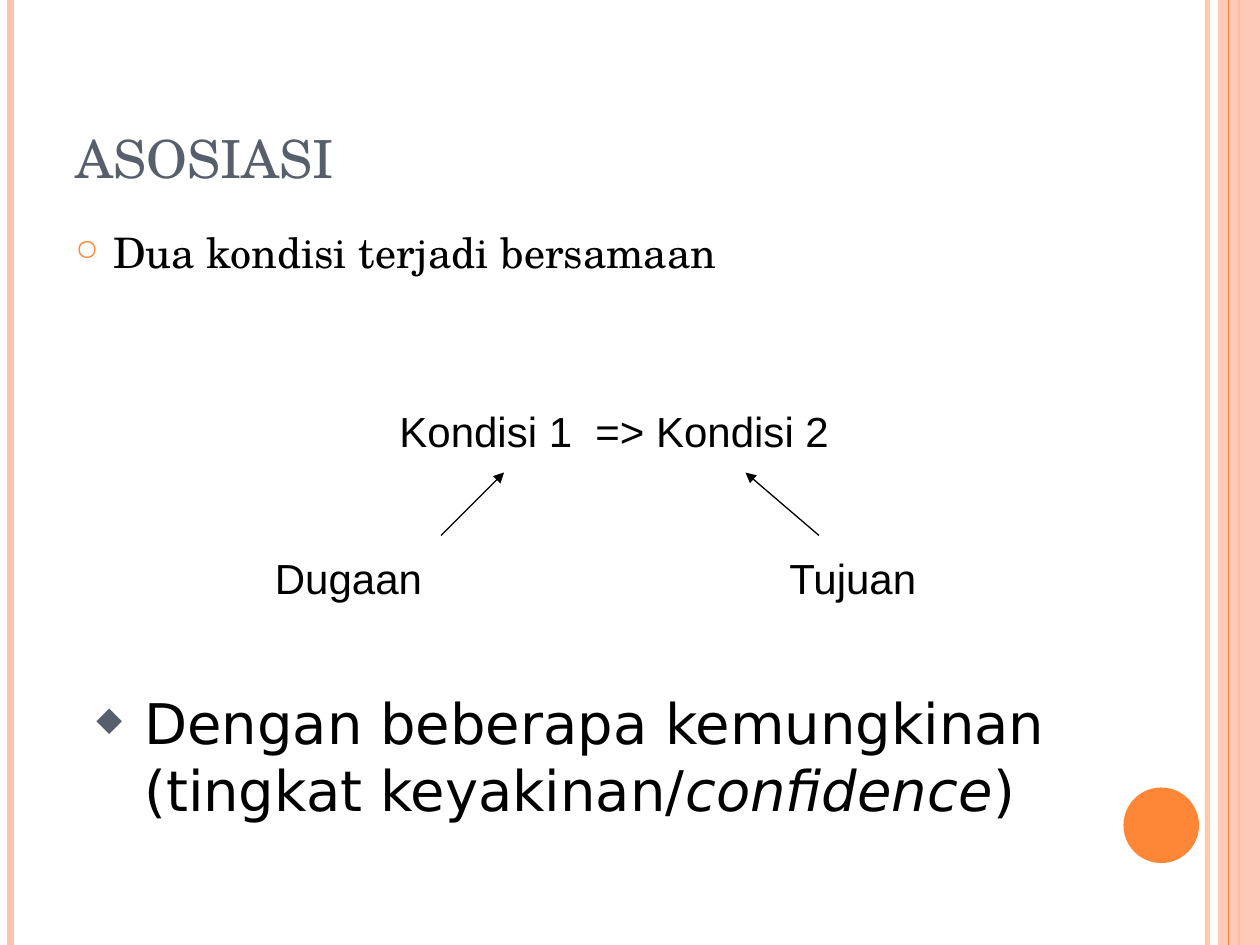
from dataclasses import dataclass

from lxml.etree import SubElement
from pptx import Presentation
from pptx.dml.color import RGBColor as RGB
from pptx.enum.shapes import MSO_CONNECTOR as Link, MSO_SHAPE as Preset
from pptx.enum.text import MSO_ANCHOR as Anchor, PP_ALIGN as Align
from pptx.oxml.ns import qn
from pptx.util import Inches, Pt


@dataclass(frozen=True)
class Theme:
    peach: str = "FEC3AE"
    orange: str = "FE8637"
    slate: str = "575F6D"
    black: str = "000000"
    serif: str = "TeX Gyre Schola"
    sans: str = "Arial"
    wide: str = "DejaVu Sans"
    title: int = 30
    body: int = 24
    large: int = 32


theme = Theme()
deck = Presentation()
deck.slide_width, deck.slide_height = Inches(10), Inches(7.5)
COLS, ROWS = 120, 90
CELL = deck.slide_width / COLS
slide = deck.slides.add_slide(deck.slide_layouts[6])


def grid(*cells):
    return [round(cell * CELL) for cell in cells]


def add_rule(start, end, color, width, opacity=100, arrow=False):
    """Draw a straight line between two (column, row) points."""
    rule = slide.shapes.add_connector(Link.STRAIGHT, *grid(*start, *end))
    rule.line.color.rgb = RGB.from_string(color)
    rule.line.width = Pt(width)
    properties = rule.line._get_or_add_ln()
    if opacity < 100:
        SubElement(properties.find(".//" + qn("a:srgbClr")), qn("a:alpha"), val=str(opacity * 1000))
    if arrow:
        SubElement(properties, qn("a:tailEnd"), type="triangle")
    SubElement(rule._element.spPr, qn("a:effectLst"))


# Side bands and the disc
add_rule((115, 0), (115, ROWS), theme.peach, 3, opacity=93)
add_rule((1, 0), (1, ROWS), theme.peach, 4.5)
add_rule((118, 0), (118, ROWS), theme.orange, 1.5)

band = slide.shapes.add_shape(Preset.RECTANGLE, *grid(116, 0, 4, ROWS))
disc = slide.shapes.add_shape(Preset.OVAL, *grid(107, 75, 7.2, 7.2))
for ornament, color in ((band, theme.peach), (disc, theme.orange)):
    ornament.shadow.inherit = False
    ornament.fill.solid()
    ornament.fill.fore_color.rgb = RGB.from_string(color)
    ornament.line.fill.background()
SubElement(band._element.spPr.find(".//" + qn("a:srgbClr")), qn("a:alpha"), val="87000")
add_rule((117, 0), (117, ROWS), theme.orange, 0.75)

# Wording: cells, text, font, size, colour, anchor, alignment, bullet (sign, colour, percent, indent)
wording = [
    ((6, 3.6, 98, 15), "ASOSIASI", theme.serif, theme.title, theme.slate,
     Anchor.BOTTOM, Align.LEFT, None),
    ((6, 21, 108, 9), "Dua kondisi terjadi bersamaan", theme.serif, theme.body, theme.black,
     Anchor.TOP, Align.LEFT, ("○", theme.orange, 70, 0.3)),
    ((25, 52, 36, 6), "Dugaan", theme.sans, theme.body, theme.black,
     Anchor.TOP, Align.LEFT, None),
    ((74, 52, 30, 6), "Tujuan", theme.sans, theme.body, theme.black,
     Anchor.TOP, Align.LEFT, None),
    ((8, 65, 108, 9), "Dengan beberapa kemungkinan (tingkat keyakinan/|confidence|)",
     theme.wide, theme.large, theme.black,
     Anchor.TOP, Align.LEFT, ("◆", theme.slate, 60, 0.38)),
    ((34, 38, 49, 6), "Kondisi 1  => Kondisi 2", theme.sans, theme.body, theme.black,
     Anchor.TOP, Align.CENTER, None),
]
for cells, text, font, size, color, anchor, align, bullet in wording:
    frame = slide.shapes.add_textbox(*grid(*cells)).text_frame
    frame.word_wrap = True
    frame.vertical_anchor = anchor
    paragraph = frame.paragraphs[0]
    paragraph.alignment = align
    if bullet:
        sign, sign_color, percent, indent = bullet
        layout = paragraph._p.get_or_add_pPr()
        layout.set("marL", str(Inches(indent)))
        layout.set("indent", str(-Inches(indent)))
        SubElement(SubElement(layout, qn("a:buClr")), qn("a:srgbClr"), val=sign_color)
        SubElement(layout, qn("a:buSzPct"), val=str(percent * 1000))
        SubElement(layout, qn("a:buChar"), char=sign)
    # Every second part between bars is in italics
    for position, part in enumerate(text.split("|")):
        run = paragraph.add_run()
        run.text = part
        run.font.name = font
        run.font.size = Pt(size)
        run.font.color.rgb = RGB.from_string(color)
        run.font.italic = position % 2 == 1

# Arrows from the two roles to their conditions
for role, condition in ((42, 48), (78, 71)):
    add_rule((role, 51), (condition, 45), theme.black, 0.75, arrow=True)

deck.save("out.pptx")
